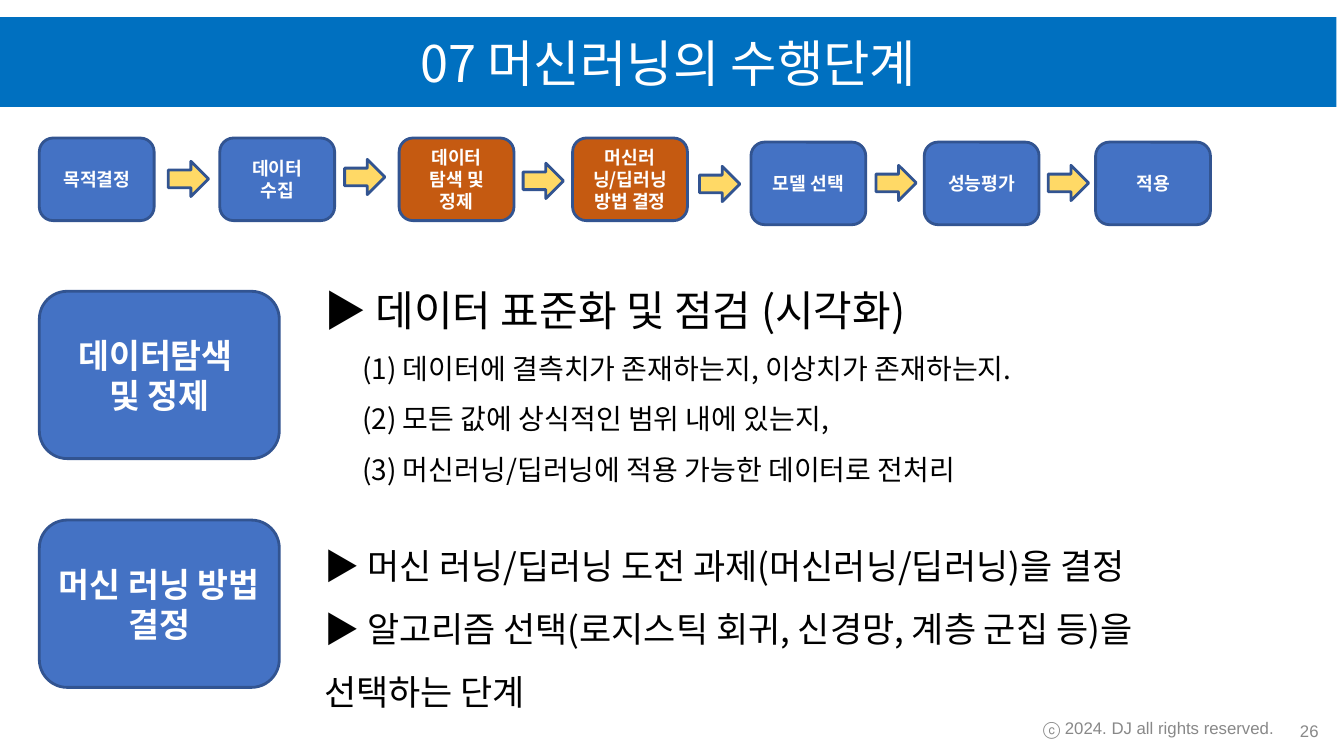
from lxml.etree import SubElement
from pptx import Presentation
from pptx.dml.color import RGBColor
from pptx.enum.shapes import MSO_SHAPE as Shape
from pptx.enum.text import MSO_ANCHOR as Anchor, MSO_AUTO_SIZE as AutoSize, PP_ALIGN as Align
from pptx.oxml.ns import qn
from pptx.util import Pt

KOREAN, LATIN = "Noto Sans CJK KR", "Arial"
BLUE, ORANGE, YELLOW, OUTLINE = "4472C4", "C55A11", "FFD966", "325491"
BANNER, WHITE, BLACK, GRAY = "0070C0", "FFFFFF", "000000", "888888"

STEP_SIZE, ARROW_SIZE, TOPIC_SIZE = (82, 59), (28.8, 25.2), (171.4, 119.5)
STEPS = [
    (28.1, 98.6, BLUE, ["목적결정"]),
    (157, 98.6, BLUE, ["데이터", "수집"]),
    (285.1, 98.6, ORANGE, ["데이터 탐색 및 정제"]),
    (409, 98.6, ORANGE, ["머신러닝/딥러닝", "방법 결정"]),
    (536.4, 101.5, BLUE, ["모델 선택"]),
    (660.2, 101.5, BLUE, ["성능평가"]),
    (782.6, 101.5, BLUE, ["적용"]),
]
ARROWS = [(120.2, 115.2), (246.2, 113.8), (373.7, 116.6),
          (499.7, 118.8), (625.7, 118.1), (748.8, 118.1)]
TOPICS = [(208.1, ["데이터탐색 ", "및 정제"]), (371.5, ["머신 러닝 방법 결정"])]
EXPLORATION = [
    ("▶ 데이터 표준화 및 점검 (시각화)", 30, 0),
    ("(1) 데이터에 결측치가 존재하는지, 이상치가 존재하는지.", 20, 27),
    ("(2) 모든 값에 상식적인 범위 내에 있는지,", 20, 27),
    ("(3) 머신러닝/딥러닝에 적용 가능한 데이터로 전처리", 20, 27),
]
METHOD = [
    ("▶ 머신 러닝/딥러닝 도전 과제(머신러닝/딥러닝)을 결정", 25, 0),
    ("▶ 알고리즘 선택(로지스틱 회귀, 신경망, 계층 군집 등)을 선택하는 단계", 25, 0),
]


def rgb(value):
    """Turn a hex string into a colour."""
    return RGBColor.from_string(value)


def add_run(paragraph, text, size, color, bold=False, font=KOREAN):
    """Add one run whose font covers Latin and East Asian letters."""
    run = paragraph.add_run()
    run.text = text
    run.font.size = Pt(size)
    run.font.bold = bold
    run.font.color.rgb = rgb(color)
    run.font.name = font
    SubElement(run.font._element, qn("a:ea"), typeface=font)


def paragraphs(frame, lines):
    """Yield each line with its own paragraph of the frame."""
    for index, line in enumerate(lines):
        yield (frame.add_paragraph() if index else frame.paragraphs[0]), line


def add_block(slide, kind, box, fill, outline=None, lines=(), size=13, bold=True):
    """Draw a filled shape with centred white lines."""
    block = slide.shapes.add_shape(kind, *map(Pt, box))
    block.shadow.inherit = False
    block.fill.solid()
    block.fill.fore_color.rgb = rgb(fill)
    if outline:
        block.line.color.rgb = rgb(outline)
        block.line.width = Pt(2)
    else:
        block.line.fill.background()
    frame = block.text_frame
    frame.word_wrap = True
    frame.vertical_anchor = Anchor.MIDDLE
    for paragraph, line in paragraphs(frame, lines):
        paragraph.alignment = Align.CENTER
        add_run(paragraph, line, size, WHITE, bold)


def add_points(slide, box, points):
    """Write widely spaced points, each with its size and indent."""
    body = slide.shapes.add_textbox(*map(Pt, box))
    frame = body.text_frame
    frame.word_wrap = True
    frame.auto_size = AutoSize.SHAPE_TO_FIT_TEXT
    for paragraph, (text, size, indent) in paragraphs(frame, points):
        paragraph.line_spacing = 1.5
        if indent:
            paragraph._p.get_or_add_pPr().set("marL", str(Pt(indent)))
        add_run(paragraph, text, size, BLACK)


def add_footer(slide, box, text, alignment):
    """Write a small grey footer text."""
    footer = slide.shapes.add_textbox(*map(Pt, box))
    frame = footer.text_frame
    frame.word_wrap = True
    frame.vertical_anchor = Anchor.MIDDLE
    paragraph = frame.paragraphs[0]
    paragraph.alignment = alignment
    add_run(paragraph, text, 12, GRAY, font=LATIN)


def main():
    """Build the slide on the steps of machine learning."""
    deck = Presentation()
    deck.slide_width, deck.slide_height = Pt(960), Pt(540)
    slide = deck.slides.add_slide(deck.slide_layouts[6])

    add_block(slide, Shape.RECTANGLE, (0, 12.2, 954.7, 64.1), BANNER,
              lines=["07 머신러닝의 수행단계"], size=36, bold=False)
    add_points(slide, (224.6, 181.4, 651.6, 166.3), EXPLORATION)
    add_points(slide, (224.6, 370.1, 651.6, 138.2), METHOD)
    for left, top, fill, lines in STEPS:
        add_block(slide, Shape.ROUNDED_RECTANGLE, (left, top, *STEP_SIZE), fill, OUTLINE, lines)
    for left, top in ARROWS:
        add_block(slide, Shape.RIGHT_ARROW, (left, top, *ARROW_SIZE), YELLOW, OUTLINE)
    for top, lines in TOPICS:
        add_block(slide, Shape.ROUNDED_RECTANGLE, (28.1, top, *TOPIC_SIZE), BLUE, OUTLINE,
                  lines, size=24)
    add_footer(slide, (905.8, 509.8, 43.2, 24.5), "26", Align.RIGHT)
    add_footer(slide, (707, 504, 241.2, 31.7), "ⓒ 2024. DJ all rights reserved.", Align.CENTER)

    deck.save("out.pptx")


if __name__ == "__main__":
    main()
